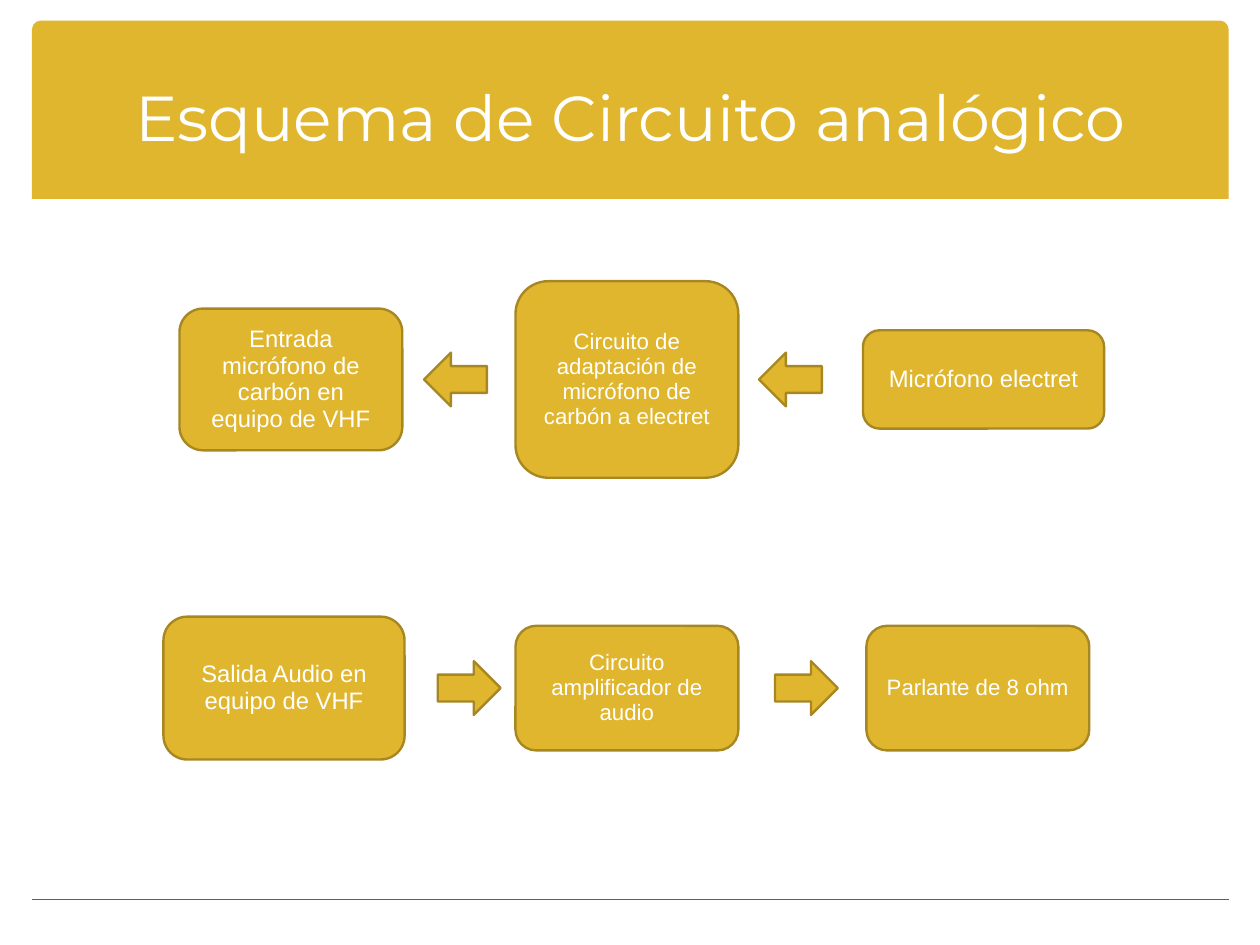
import pptx
import pptx.util
import pptx.dml.color
import pptx.enum.shapes
import pptx.enum.text
import lxml.etree

Inches = pptx.util.Inches
Pt = pptx.util.Pt
KINDS = pptx.enum.shapes.MSO_SHAPE
MID = pptx.enum.text.MSO_ANCHOR.MIDDLE
MAIN = "http://schemas.openxmlformats.org/drawingml/2006/main"
GOLD, EDGE, WHITE, GRAY = "E0B62E", "A68722", "FFFFFF", "5D5C64"


def tint(color, code):
    color.rgb = pptx.dml.color.RGBColor.from_string(code)


def block(kind, left, top, width, height):
    shape = slide.shapes.add_shape(
        kind, Inches(left), Inches(top), Inches(width), Inches(height))
    shape.shadow.inherit = False
    shape.fill.solid()
    tint(shape.fill.fore_color, GOLD)
    tint(shape.line.color, EDGE)
    shape.line.width = Pt(1.5)
    return shape


# The page is metric: 28 by 21 cm
deck = pptx.Presentation()
deck.slide_width = pptx.util.Cm(28)
deck.slide_height = pptx.util.Cm(21)
slide = deck.slides.add_slide(deck.slide_layouts[5])
title = slide.shapes.title

# Title band, placed behind the title
band = block(KINDS.ROUND_2_SAME_RECTANGLE, 0.28, 0.18, 10.47, 1.56)
band.adjustments[0] = 0.05
band.line.fill.background()
title.element.addprevious(band.element)

# Title
place = {"left": 0.37, "top": 0.33, "width": 10.29, "height": 1.38}
for name, value in place.items():
    setattr(title, name, Inches(value))
frame = title.text_frame
frame.text = "Esquema de Circuito analógico"
look = {"vertical_anchor": MID, "word_wrap": True,
        "margin_left": Inches(0.11), "margin_right": Inches(0.11),
        "margin_top": Inches(0.06), "margin_bottom": Inches(0.06)}
for name, value in look.items():
    setattr(frame, name, value)
head = frame.paragraphs[0]
head.alignment = pptx.enum.text.PP_ALIGN.CENTER
head.font.name, head.font.size = "Montserrat", Pt(40)
tint(head.font.color, WHITE)

# Footer rule
rule = slide.shapes.add_connector(
    pptx.enum.shapes.MSO_CONNECTOR.STRAIGHT,
    Inches(0.28), Inches(7.87), Inches(10.75), Inches(7.87))
tint(rule.line.color, GRAY)
rule.line.width = Pt(1)
lxml.etree.SubElement(rule.element.spPr, "{%s}effectLst" % MAIN)

# Each row: center line, arrow turn, arrow lefts, then its boxes
# as text, left, width, height and font size
rows = [
    (3.32, 180, (3.71, 6.64), [
        ("Entrada micrófono de carbón en equipo de VHF", 1.57, 1.95, 1.24, 15),
        ("Circuito de adaptación de micrófono de carbón a electret",
         4.51, 1.95, 1.72, 14),
        ("Micrófono electret", 7.55, 2.11, 0.86, 15)]),
    (6.02, 0, (3.83, 6.78), [
        ("Salida Audio en equipo de VHF", 1.43, 2.11, 1.25, 15),
        ("Circuito amplificador de audio", 4.51, 1.95, 1.09, 14),
        ("Parlante de 8 ohm", 7.58, 1.95, 1.09, 14)]),
]
for center, turn, lefts, boxes in rows:
    for text, left, width, height, size in boxes:
        box = block(KINDS.ROUNDED_RECTANGLE,
                    left, center - height / 2, width, height)
        frame = box.text_frame
        frame.text = text
        # Larger text gets wider side margins
        side = Inches(0.15 if size == 15 else 0.1)
        look = {"word_wrap": True, "vertical_anchor": MID,
                "margin_left": side, "margin_right": side}
        for name, value in look.items():
            setattr(frame, name, value)
        para = frame.paragraphs[0]
        para.alignment = pptx.enum.text.PP_ALIGN.CENTER
        para.line_spacing = 0.93
        para.font.name, para.font.size = "Arial", Pt(size)
        tint(para.font.color, WHITE)
    for left in lefts:
        arrow = block(KINDS.RIGHT_ARROW, left, center - 0.235, 0.55, 0.47)
        arrow.rotation = turn

deck.save("out.pptx")
